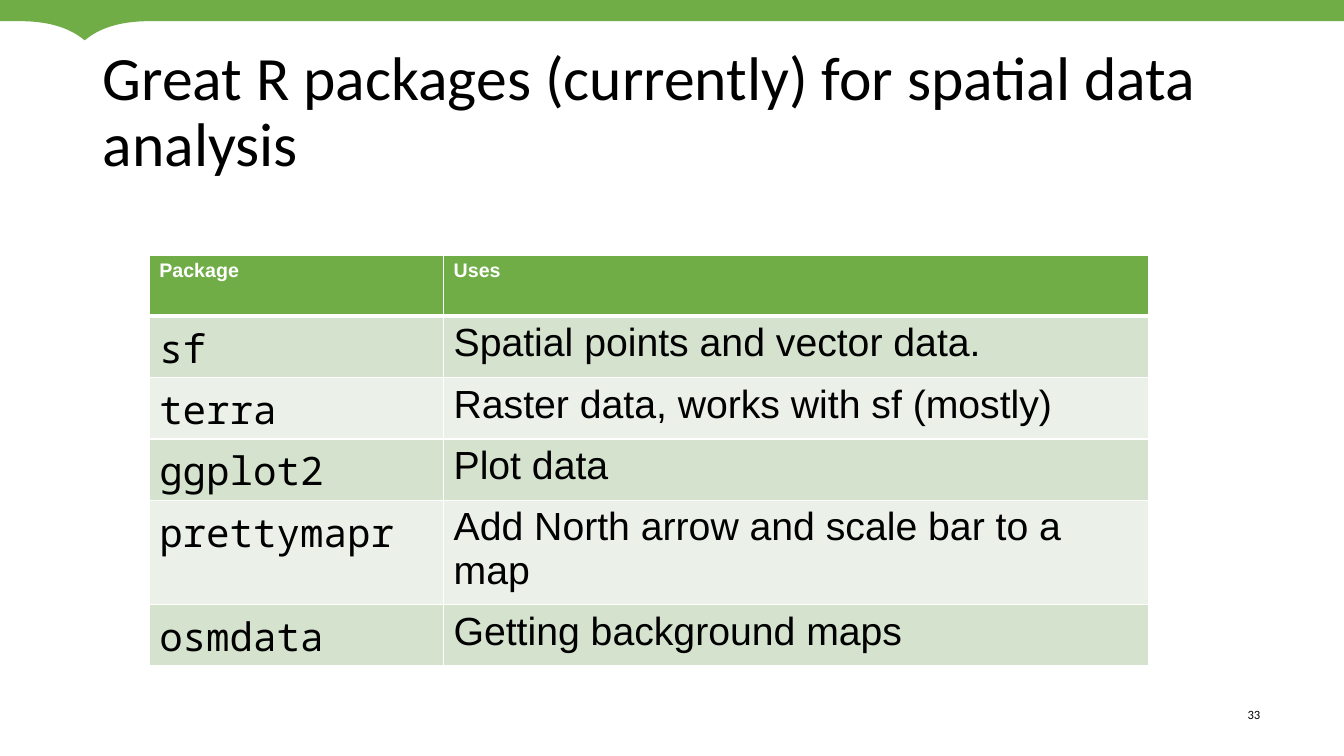
"""Build the slide that lists R packages for spatial data analysis."""
import pptx
import pptx.dml.color
import pptx.enum.text
import pptx.oxml
import pptx.oxml.ns
import pptx.util

Inches = pptx.util.Inches
Pt = pptx.util.Pt
ALIGN = pptx.enum.text.PP_ALIGN
ANCHOR = pptx.enum.text.MSO_ANCHOR


def color(code):
    """Turn a hex string into a colour."""
    return pptx.dml.color.RGBColor.from_string(code)


def bezier(start, one, two, end, steps=12):
    """List the points along a cubic curve after its start."""
    points = []
    for step in range(1, steps + 1):
        t = step / steps
        parts = ((1 - t) ** 3, 3 * t * (1 - t) ** 2, 3 * t * t * (1 - t), t ** 3)
        points.append(tuple(sum(w * p[axis] for w, p in zip(parts, (start, one, two, end)))
                            for axis in (0, 1)))
    return points


class Deck:
    """Hold the style and the current slide."""

    green, white, black = "70AD47", "FFFFFF", "000000"
    bands = ("D4E2CE", "EBF1E8")
    head, body, code = "Calibri", "Arial", "Noto Sans Mono"

    def __init__(self):
        """Open a wide deck with one blank slide."""
        self.deck = pptx.Presentation()
        self.deck.slide_width = Inches(13.33)
        self.deck.slide_height = Inches(7.5)
        self.slide = self.deck.slides.add_slide(self.deck.slide_layouts[6])

    def style(self, para, size, face, tone, bold=False):
        """Format the runs of a paragraph."""
        for run in para.runs:
            run.font.size = Pt(size)
            run.font.name = face
            run.font.bold = bold
            run.font.color.rgb = color(tone)

    def text(self, words, place, size, pad=(0, 0), align=ALIGN.LEFT,
             anchor=ANCHOR.TOP, space=1.0):
        """Add a text box."""
        frame = self.slide.shapes.add_textbox(*map(Inches, place)).text_frame
        frame.word_wrap = True
        frame.vertical_anchor = anchor
        frame.margin_left = frame.margin_right = Inches(pad[0])
        frame.margin_top = frame.margin_bottom = Inches(pad[1])
        frame.text = words
        para = frame.paragraphs[0]
        para.alignment = align
        para.line_spacing = space
        self.style(para, size, self.head, self.black)

    def shape(self, points):
        """Add a green closed outline."""
        spots = [(Inches(x), Inches(y)) for x, y in points]
        form = self.slide.shapes.build_freeform(*spots[0])
        form.add_line_segments(spots[1:], close=True)
        item = form.convert_to_shape()
        item.shadow.inherit = False
        item.fill.solid()
        item.fill.fore_color.rgb = color(self.green)
        item.line.fill.background()

    def edge(self, cell, side, width):
        """Draw one white side of a cell."""
        line = pptx.oxml.parse_xml(
            f'<a:ln{side} {pptx.oxml.ns.nsdecls("a")} w="{Pt(width)}"><a:solidFill>'
            f'<a:srgbClr val="{self.white}"/></a:solidFill></a:ln{side}>')
        cell._tc.get_or_add_tcPr().append(line)

    def table(self, rows, place, widths):
        """Add a banded table with a header row."""
        frame = self.slide.shapes.add_table(len(rows), len(widths), *map(Inches, place))
        grid = frame.table
        grid.first_row = grid.horz_banding = False
        for col, width in zip(grid.columns, widths):
            col.width = Inches(width)
        for r, row in enumerate(rows):
            for c, words in enumerate(row):
                cell = grid.cell(r, c)
                top = 3 if r == 1 else 1
                base = 3 if r == 0 else 1
                for side, width in zip("LRTB", (1, 1, top, base)):
                    self.edge(cell, side, width)
                cell.fill.solid()
                fill = self.bands[(r - 1) % 2] if r else self.green
                cell.fill.fore_color.rgb = color(fill)
                cell.text_frame.text = words
                para = cell.text_frame.paragraphs[0]
                if r == 0:
                    self.style(para, 14, self.body, self.white, True)
                else:
                    face = self.body if c else self.code
                    self.style(para, 28, face, self.black)


def main():
    """Build and save the slide."""
    deck = Deck()
    deck.text("33", (12.04, 7.01, 0.46, 0.15), 9, align=ALIGN.RIGHT)

    mid = 0.84
    half = [(1.5, 0.21)]
    half += bezier(half[-1], (1.29, 0.21), (1.11, 0.24), (0.96, 0.32))
    half += bezier(half[-1], (0.92, 0.34), (0.88, 0.37), (mid, 0.4))
    twin = [(2 * mid - x, y) for x, y in reversed(half[:-1])]
    deck.shape([(0, 0), (13.33, 0), (13.34, 0.21)] + half + twin + [(-0.01, 0.21)])

    deck.text("Great R packages (currently) for spatial data analysis",
              (0.92, 0.4, 11.5, 1.45), 44, pad=(0.1, 0.05),
              anchor=ANCHOR.MIDDLE, space=0.9)
    rows = [
        ("Package", "Uses"),
        ("sf", "Spatial points and vector data."),
        ("terra", "Raster data, works with sf (mostly)"),
        ("ggplot2", "Plot data"),
        ("prettymapr", "Add North arrow and scale bar to a map"),
        ("osmdata", "Getting background maps"),
    ]
    deck.table(rows, (1.48, 2.53, 9.91, 3.65), (2.92, 6.99))
    deck.deck.save("out.pptx")


if __name__ == "__main__":
    main()
